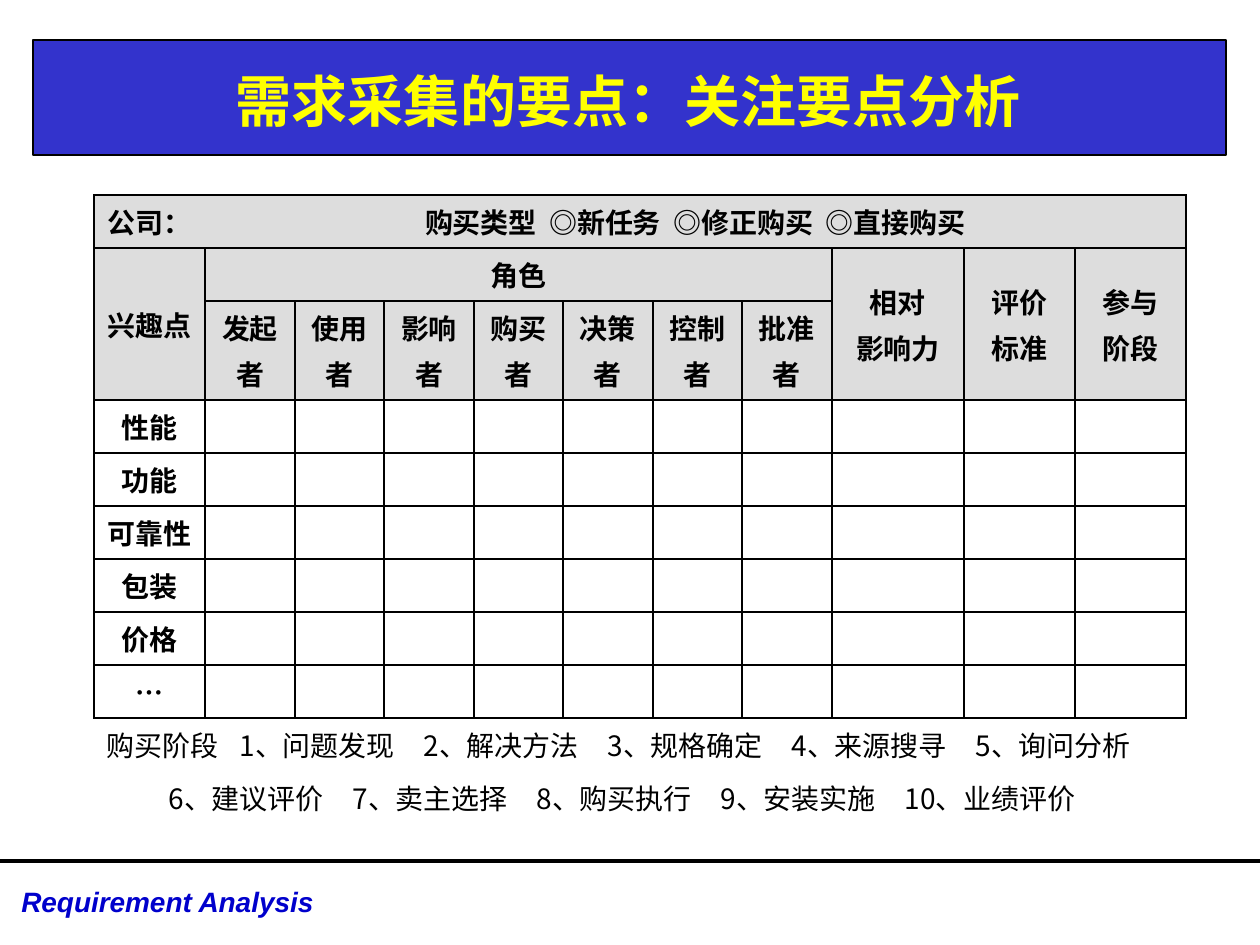
from pptx import Presentation
from pptx.dml.color import RGBColor
from pptx.enum.shapes import MSO_CONNECTOR, MSO_SHAPE
from pptx.enum.text import MSO_ANCHOR, MSO_AUTO_SIZE, PP_ALIGN
from pptx.oxml.ns import qn
from pptx.util import Pt
from lxml import etree

PX = 914400 // 126
LEFT, CENTER = PP_ALIGN.LEFT, PP_ALIGN.CENTER
MIDDLE = MSO_ANCHOR.MIDDLE
RECT, STRAIGHT = MSO_SHAPE.RECTANGLE, MSO_CONNECTOR.STRAIGHT
NO_FIT = MSO_AUTO_SIZE.NONE


class Theme:
    cjk, latin = "Noto Sans CJK SC", "Arial"
    ink = RGBColor.from_string("000000")
    bar = RGBColor.from_string("3333CC")
    gold = RGBColor.from_string("FFFF00")
    foot = RGBColor.from_string("0000CC")
    gray = RGBColor.from_string("DDDDDD")
    title = {"size": Pt(32), "bold": True, "name": cjk}
    head = {"size": Pt(16), "bold": True, "name": cjk}
    note = {"size": Pt(16), "bold": False, "name": cjk}
    brand = {"size": Pt(16), "bold": True, "italic": True, "name": latin}
    gap = Pt(3.2)
    edge, grid, rule = Pt(0.75), Pt(1), Pt(2.25)


def write(para, text, form, color, align):
    para.alignment = align
    run = para.add_run()
    run.text = text
    for key, val in form.items():
        setattr(run.font, key, val)
    run.font.color.rgb = color
    face = etree.SubElement(run.font._element, qn("a:ea"))
    face.set("typeface", form["name"])


def border(cell, sides):
    props = cell._tc.get_or_add_tcPr()
    for side in "LRTB":
        line = etree.SubElement(props, qn("a:ln" + side), w=str(int(Theme.grid)))
        if side in sides:
            fill = etree.SubElement(line, qn("a:solidFill"))
            etree.SubElement(fill, qn("a:srgbClr"), val=str(Theme.ink))
        else:
            etree.SubElement(line, qn("a:noFill"))


deck = Presentation()
deck.slide_width, deck.slide_height = 1260 * PX, 945 * PX
slide = deck.slides.add_slide(deck.slide_layouts[5])
shapes = slide.shapes
title = shapes.title

# Title bar, placed behind the title
bar = shapes.add_shape(RECT, 33 * PX, 40 * PX, 1193 * PX, 115 * PX)
bar.shadow.inherit = False
bar.fill.solid()
bar.fill.fore_color.rgb = Theme.bar
bar.line.color.rgb = Theme.ink
bar.line.width = Theme.edge
title._element.addprevious(bar._element)

# Title
title.left, title.top = 33 * PX, 45 * PX
title.width, title.height = 1191 * PX, 110 * PX
frame = title.text_frame
frame.auto_size = NO_FIT
frame.vertical_anchor = MIDDLE
write(frame.paragraphs[0], "需求采集的要点：关注要点分析", Theme.title, Theme.gold, CENTER)

# Footer rule and label
rule = shapes.add_connector(STRAIGHT, 0, 861 * PX, 1260 * PX, 861 * PX)
rule.line.color.rgb = Theme.ink
rule.line.width = Theme.rule
etree.SubElement(rule._element.spPr, qn("a:effectLst"))
label = shapes.add_textbox(9 * PX, 878 * PX, 367 * PX, 47 * PX).text_frame
label.word_wrap = True
write(label.paragraphs[0], "Requirement Analysis", Theme.brand, Theme.foot, LEFT)

# Table grid, with a taller row for the two-line roles
wide = [111] + [90 - k % 2 for k in range(7)] + [132, 111, 111]
tall = [53, 53, 99] + [53] * 8
rows, cols = len(tall), len(wide)
table = shapes.add_table(rows, cols, 94 * PX, 195 * PX,
                         sum(wide) * PX, sum(tall) * PX).table
table.first_row = table.horz_banding = False
for col, size in zip(table.columns, wide):
    col.width = size * PX
for row, size in zip(table.rows, tall):
    row.height = size * PX

# Borders and fills: three head rows, six open rows, two note rows
for r in range(rows):
    for c in range(cols):
        cell = table.cell(r, c)
        if r > 8:
            sides = "T" if r == 9 else ""
        elif r == 0 and c < 2:
            sides = ("LTB", "RTB")[c]
        else:
            sides = "LRTB"
        border(cell, sides)
        if r < 3:
            cell.fill.solid()
            cell.fill.fore_color.rgb = Theme.gray
        else:
            cell.fill.background()
        cell.vertical_anchor = MIDDLE

# Merged cells: first and last corner
for r1, c1, r2, c2 in [(0, 1, 0, 10), (1, 0, 2, 0), (1, 1, 1, 7),
                       (1, 8, 2, 8), (1, 9, 2, 9), (1, 10, 2, 10),
                       (9, 0, 9, 10), (10, 0, 10, 10)]:
    table.cell(r1, c1).merge(table.cell(r2, c2))

# Headings and points of interest
words = {(0, 0): "公司：", (0, 1): "购买类型  ◎新任务  ◎修正购买  ◎直接购买",
         (1, 0): "兴趣点", (1, 1): "角色", (1, 8): "相对\n影响力",
         (1, 9): "评价\n标准", (1, 10): "参与\n阶段"}
for c, role in enumerate(["发起", "使用", "影响", "购买", "决策", "控制", "批准"], 1):
    words[2, c] = role + "\n者"
for r, point in enumerate(["性能", "功能", "可靠性", "包装", "价格", "…"], 3):
    words[r, 0] = point
for (r, c), text in words.items():
    frame = table.cell(r, c).text_frame
    for k, part in enumerate(text.split("\n")):
        para = frame.add_paragraph() if k else frame.paragraphs[0]
        para.space_after = Theme.gap
        write(para, part, Theme.head, Theme.ink, CENTER)

# Buying stages, set on even tab stops
notes = [(133, "购买阶段", ["1、问题发现", "2、解决方法", "3、规格确定", "4、来源搜寻", "5、询问分析"]),
         (62, "", ["6、建议评价", "7、卖主选择", "8、购买执行", "9、安装实施", "10、业绩评价"])]
for r, (start, lead, items) in enumerate(notes, 9):
    para = table.cell(r, 0).text_frame.paragraphs[0]
    para.space_after = Theme.gap
    tabs = etree.SubElement(para._p.get_or_add_pPr(), qn("a:tabLst"))
    for k in range(len(items)):
        etree.SubElement(tabs, qn("a:tab"), pos=str((start + 184 * k) * PX), algn="l")
    write(para, "\t".join([lead] + items), Theme.note, Theme.ink, LEFT)

deck.save("out.pptx")
